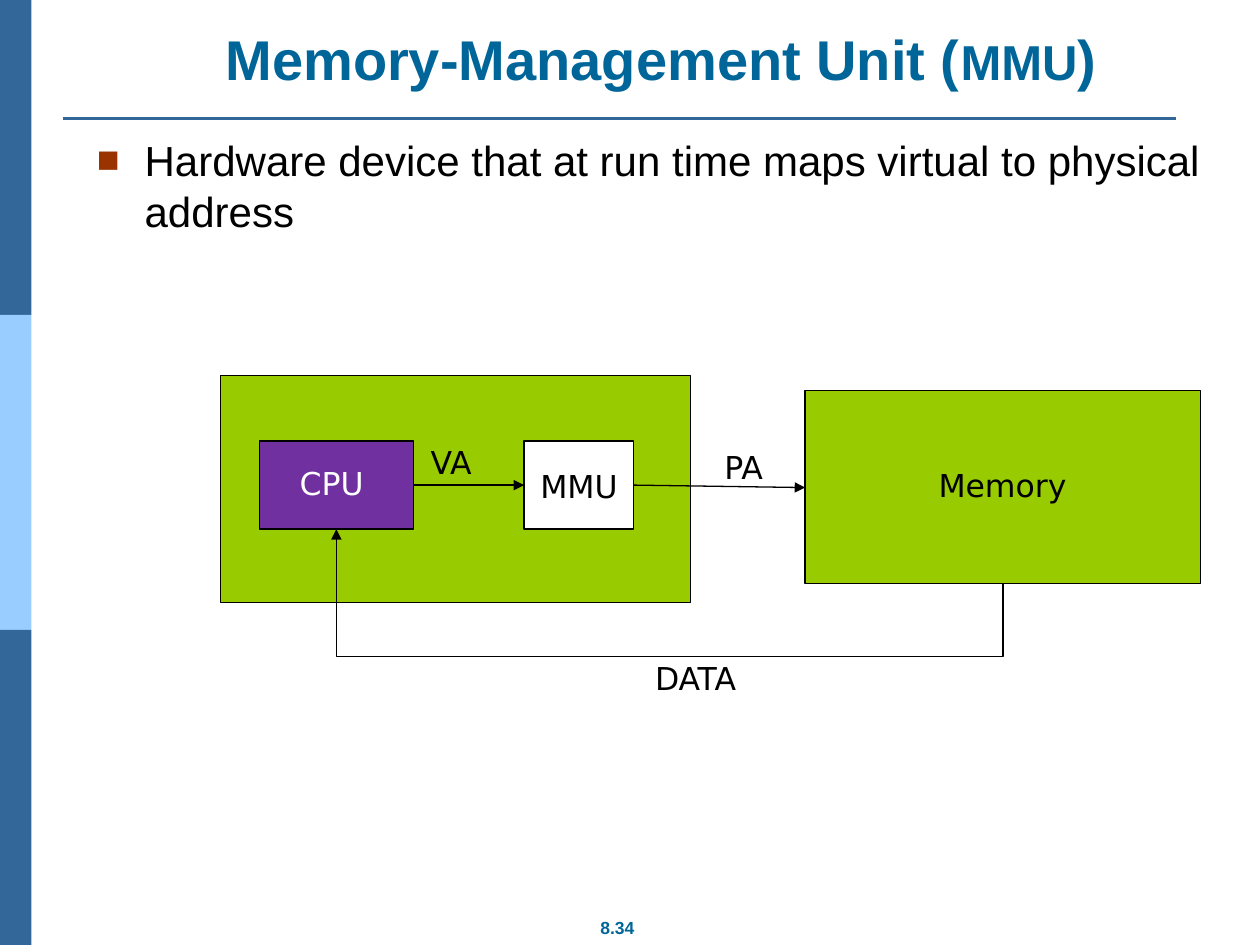
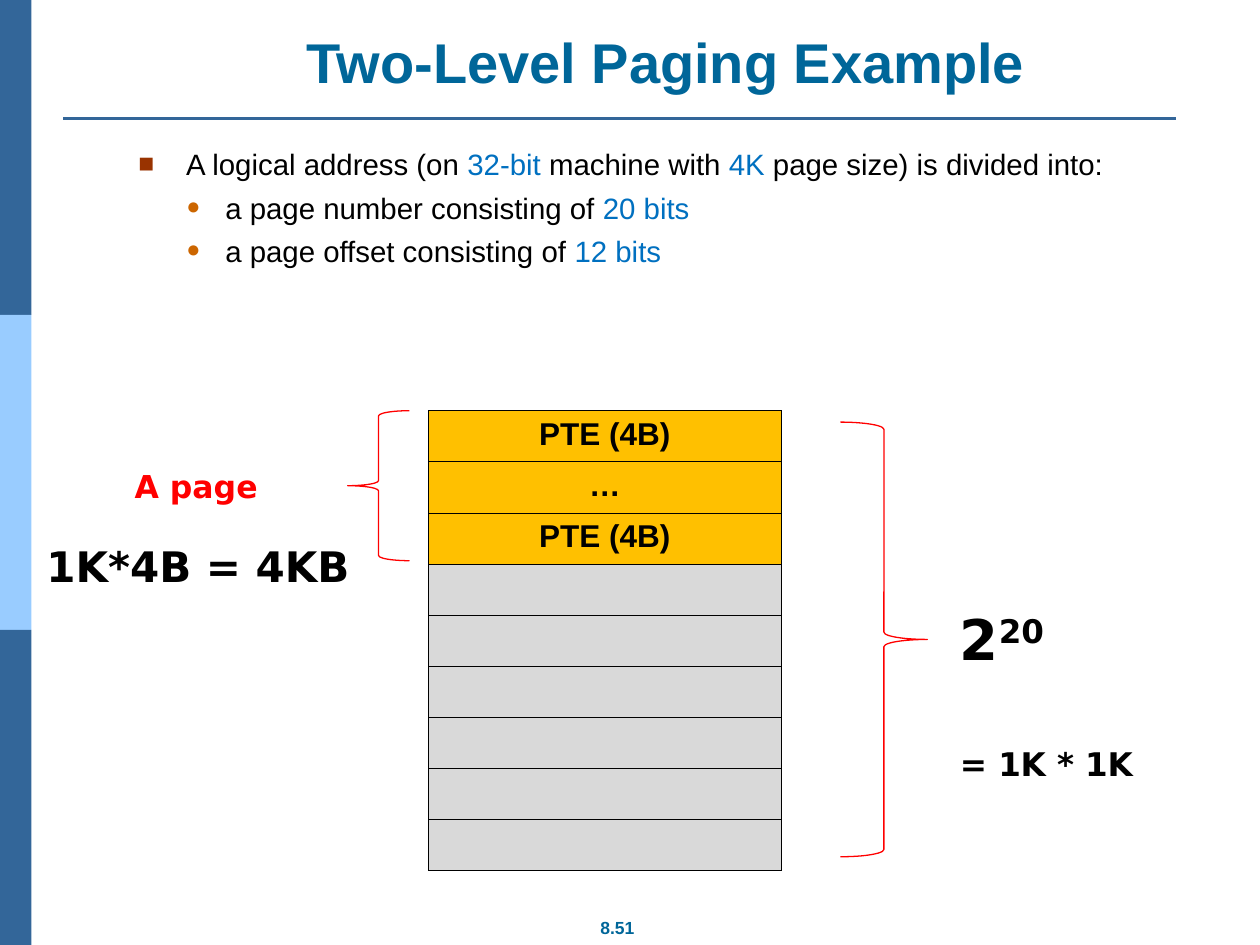
import pptx
import pptx.util
import pptx.dml.color
import pptx.enum.shapes
import pptx.enum.text
import pptx.oxml.ns
import lxml.etree

COLORS = {
    "band": "336699", "band_light": "99CCFF", "title": "006699", "ink": "000000",
    "paper": "FFFFFF", "accent": "0070C0", "square": "993300", "dot": "CC6600",
    "chip": "99CC00", "cpu": "7030A0", "entry": "FFC000", "empty": "D9D9D9", "mark": "FF0000",
}
WIDTH, HEIGHT = 10, 7.5
SANS, LABEL = "Arial", "DejaVu Sans"
BULLETS = [
    {"char": "■", "color": "square", "size": 90, "indent": 0.38, "hang": 0.38},
    {"char": "●", "color": "dot", "size": 80, "indent": 0.69, "hang": 0.31},
]

MMU = {
    "title": ["Memory-Management Unit (", ("MMU", {"size": 28}), ")"],
    "title_at": (0.96, 0.15, 8.57, 0.63),
    "number": "8.34",
    "points": [(0, ["Hardware device that at run time maps virtual to physical address"])],
    "points_at": (0.67, 1.02, 9.33, 1.2),
    "points_format": {"size": 24},
    "blocks": [
        ((1.75, 2.98, 3.73, 1.8), "chip"),
        ((2.06, 3.5, 1.22, 0.7), "cpu"),
        ((4.16, 3.5, 0.87, 0.7), "paper"),
        ((6.39, 3.1, 3.14, 1.53), "chip"),
    ],
    "arrows": [((3.28, 3.85), (4.16, 3.85)), ((5.03, 3.85), (6.39, 3.87))],
    "data_path": ((7.96, 4.63), (2.67, 4.2), 5.21),
    "labels": [
        ("CPU", 2.28, 3.63, "paper"), ("MMU", 4.19, 3.66, "ink"), ("Memory", 7.35, 3.65, "ink"),
        ("VA", 3.32, 3.47, "ink"), ("PA", 5.65, 3.51, "ink"), ("DATA", 5.1, 5.18, "ink"),
    ],
}

BLUE = {"color": "accent"}
PAGING = {
    "title": ["Two-Level Paging Example"],
    "title_at": (1.04, 0.17, 8.49, 0.63),
    "number": "8.51",
    "points": [
        (0, ["A logical address (on ", ("32-bit", BLUE), " machine with ", ("4K", BLUE),
             " page size) is divided into:"]),
        (1, ["a page number consisting of ", ("20 bits", BLUE)]),
        (1, ["a page offset consisting of ", ("12 bits", BLUE)]),
    ],
    "points_at": (1, 1.19, 8.54, 1.91),
    "points_format": {"size": 16.8, "spacing": 0.7, "before": 10.5},
    "table_at": (3.4, 3.26, 2.8, 3.65),
    "entries": ["PTE (4B)", "…", "PTE (4B)"] + [""] * 6,
    "braces": [("LEFT_BRACE", (2.76, 3.26, 0.49, 1.19)), ("RIGHT_BRACE", (6.67, 3.35, 0.69, 3.45))],
    "notes": [
        ((0.27, 4.24, 2.9, 0.5), [["1K*4B = 4KB"]], {"size": 24}),
        ((0.97, 3.66, 1.79, 0.4), [["A page"]], {"size": 18, "color": "mark"}),
        ((7.52, 4.75, 2.02, 1.7), [["2", ("20", {"raised": 30})], [("= 1K * 1K", {"raised": 30})]],
         {"size": 32, "before": 37.3}),
    ],
}


def inches(values):
    return [pptx.util.Inches(value) for value in values]


def rgb(name):
    return pptx.dml.color.RGBColor.from_string(COLORS[name])


def child(parent, tag, **attributes):
    return lxml.etree.SubElement(parent, pptx.oxml.ns.qn(tag), attributes)


def add_bullet(paragraph, level):
    bullet = BULLETS[level]
    properties = paragraph._p.get_or_add_pPr()
    properties.set("marL", str(pptx.util.Inches(bullet["indent"])))
    properties.set("indent", str(-pptx.util.Inches(bullet["hang"])))
    child(child(properties, "a:buClr"), "a:srgbClr", val=COLORS[bullet["color"]])
    child(properties, "a:buSzPct", val=str(bullet["size"] * 1000))
    child(properties, "a:buFont", typeface=SANS)
    child(properties, "a:buChar", char=bullet["char"])
    paragraph.level = level


def write(frame, paragraphs, levels=None, font=SANS, size=18, color="ink", bold=False,
          align="LEFT", anchor="TOP", wrap=True, spacing=None, before=0):
    frame.word_wrap = wrap
    frame.auto_size = pptx.enum.text.MSO_AUTO_SIZE.NONE
    frame.vertical_anchor = getattr(pptx.enum.text.MSO_ANCHOR, anchor)
    for index, pieces in enumerate(paragraphs):
        paragraph = frame.add_paragraph() if index else frame.paragraphs[0]
        if levels:
            add_bullet(paragraph, levels[index])
        paragraph.alignment = getattr(pptx.enum.text.PP_ALIGN, align)
        if spacing:
            paragraph.line_spacing = spacing
        if index and before:
            paragraph.space_before = pptx.util.Pt(before)
        for piece in pieces:
            words, changes = (piece, {}) if isinstance(piece, str) else piece
            run = paragraph.add_run()
            run.text = words
            run.font.name = font
            run.font.size = pptx.util.Pt(changes.get("size", size))
            run.font.bold = bold
            run.font.color.rgb = rgb(changes.get("color", color))
            if "raised" in changes:
                run.font._element.set("baseline", str(changes["raised"] * 1000))


def add_text(slide, place, paragraphs, **text_format):
    write(slide.shapes.add_textbox(*inches(place)).text_frame, paragraphs, **text_format)


def add_block(slide, place, fill=None, line=None, kind="RECTANGLE"):
    block = slide.shapes.add_shape(getattr(pptx.enum.shapes.MSO_SHAPE, kind), *inches(place))
    block.shadow.inherit = False
    if fill:
        block.fill.solid()
        block.fill.fore_color.rgb = rgb(fill)
    else:
        block.fill.background()
    if line:
        block.line.color.rgb = rgb(line)
        block.line.width = pptx.util.Pt(0.75)
    else:
        block.line.fill.background()


def add_line(slide, start, end, color="ink", width=0.75, arrow=False, kind="STRAIGHT"):
    line = slide.shapes.add_connector(getattr(pptx.enum.shapes.MSO_CONNECTOR, kind),
                                      *inches(start + end))
    line.line.color.rgb = rgb(color)
    line.line.width = pptx.util.Pt(width)
    if arrow:
        child(line.line._get_or_add_ln(), "a:tailEnd", type="triangle")
    child(line._element.spPr, "a:effectLst")
    return line


def add_return_path(slide, start, end, low):
    middle_x, middle_y = (start[0] + end[0]) / 2, (start[1] + end[1]) / 2
    drop, span = start[1] - end[1], start[0] - end[0]
    path = add_line(slide, (middle_x - drop / 2, middle_y + span / 2),
                    (middle_x + drop / 2, middle_y - span / 2), arrow=True, kind="ELBOW")
    properties = path._element.spPr
    properties.find(pptx.oxml.ns.qn("a:xfrm")).set("rot", str(270 * 60000))
    geometry = properties.find(pptx.oxml.ns.qn("a:prstGeom"))
    adjustments = geometry.find(pptx.oxml.ns.qn("a:avLst"))
    bend = round((start[1] - low) / drop * 100000)
    child(adjustments, "a:gd", name="adj1", fmla=f"val {bend}")


def add_entries(slide, place, entries):
    table = slide.shapes.add_table(len(entries), 1, *inches(place)).table
    table.first_row = table.horz_banding = False
    for row, entry in enumerate(entries):
        table.rows[row].height = pptx.util.Inches(place[3] / len(entries))
        cell = table.cell(row, 0)
        if entry:
            write(cell.text_frame, [[entry]], bold=True, align="CENTER")
        properties = cell._tc.get_or_add_tcPr()
        for side in ("a:lnL", "a:lnR", "a:lnT", "a:lnB"):
            border = child(properties, side, w=str(pptx.util.Pt(0.45)))
            child(child(border, "a:solidFill"), "a:srgbClr", val=COLORS["ink"])
        cell.fill.solid()
        cell.fill.fore_color.rgb = rgb("entry" if entry else "empty")


def start_slide(deck, content):
    slide = deck.slides.add_slide(deck.slide_layouts[5])
    third = HEIGHT / 3
    for row, color in enumerate(("band", "band_light", "band")):
        add_block(slide, (0, row * third, WIDTH / 40, third), color)
    add_line(slide, (0.5, 0.94), (9.33, 0.94), "band", 1.5)
    title = slide.shapes.title
    title.left, title.top, title.width, title.height = inches(content["title_at"])
    write(title.text_frame, [content["title"]], size=32, color="title", bold=True,
          align="CENTER", anchor="BOTTOM")
    add_text(slide, (4.41, 7.23, 0.98, 0.27), [[content["number"]]], size=10, color="title",
             bold=True, align="CENTER", wrap=False)
    levels, points = zip(*content["points"])
    add_text(slide, content["points_at"], points, levels=levels, **content["points_format"])
    return slide


def build_mmu(deck):
    slide = start_slide(deck, MMU)
    for place, fill in MMU["blocks"]:
        add_block(slide, place, fill, "ink")
    for start, end in MMU["arrows"]:
        add_line(slide, start, end, arrow=True)
    add_return_path(slide, *MMU["data_path"])
    for label, left, top, color in MMU["labels"]:
        add_text(slide, (left, top, 1.22, 0.4), [[label]], font=LABEL, color=color)


def build_paging(deck):
    slide = start_slide(deck, PAGING)
    add_entries(slide, PAGING["table_at"], PAGING["entries"])
    for kind, place in PAGING["braces"]:
        add_block(slide, place, line="mark", kind=kind)
    for place, paragraphs, text_format in PAGING["notes"]:
        add_text(slide, place, paragraphs, font=LABEL, bold=True, **text_format)


def main():
    deck = pptx.Presentation()
    deck.slide_width, deck.slide_height = inches((WIDTH, HEIGHT))
    build_mmu(deck)
    build_paging(deck)
    deck.save("out.pptx")


if __name__ == "__main__":
    main()
